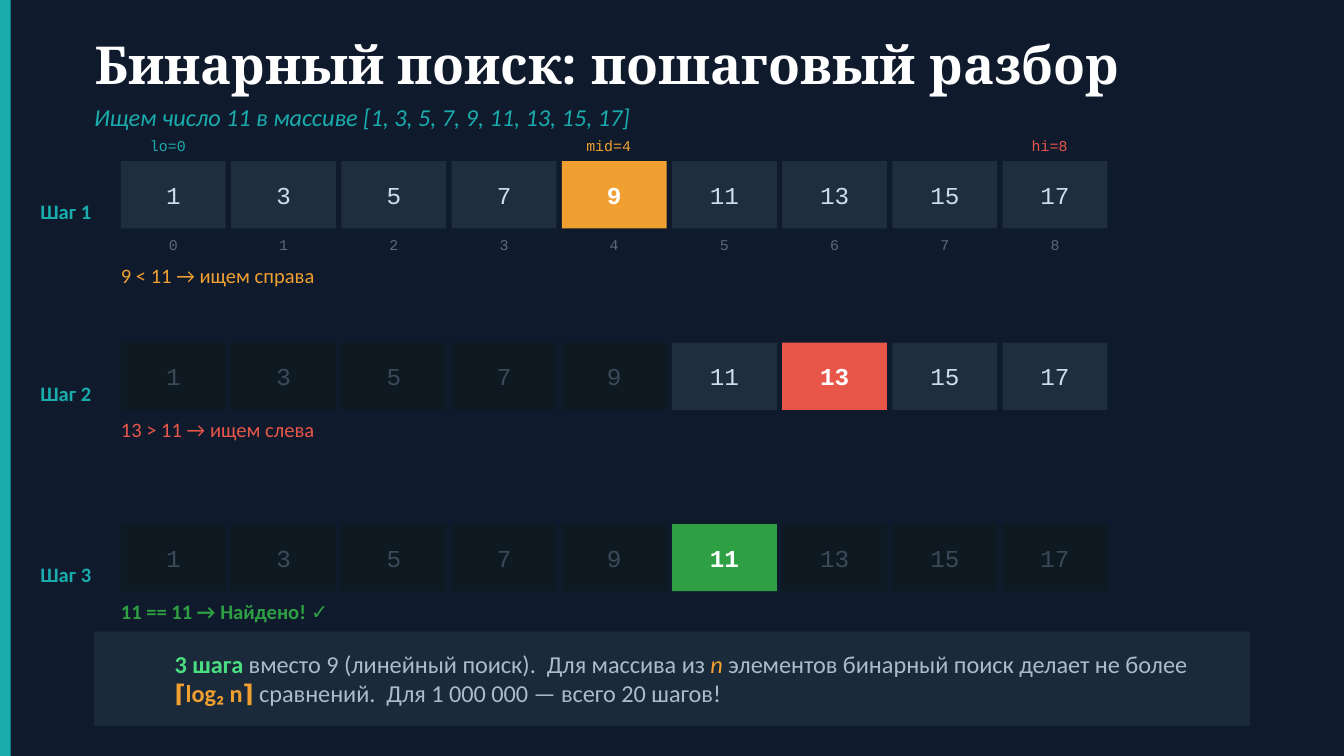
from pptx import Presentation
from pptx.dml.color import RGBColor
from pptx.enum.shapes import MSO_SHAPE
from pptx.enum.text import MSO_ANCHOR, PP_ALIGN
from pptx.util import Inches, Pt

RECT = MSO_SHAPE.RECTANGLE
MIDDLE = MSO_ANCHOR.MIDDLE
LEFT, CENTER = PP_ALIGN.LEFT, PP_ALIGN.CENTER

NAVY = RGBColor(0x0F, 0x1B, 0x2D)
TEAL = RGBColor(0x1A, 0xAC, 0xAC)
WHITE = RGBColor(0xFF, 0xFF, 0xFF)
CELL = RGBColor(0x1E, 0x2E, 0x3E)
CELL_TEXT = RGBColor(0xCC, 0xDD, 0xEE)
DIMMED = RGBColor(0x0F, 0x19, 0x22)
DIMMED_TEXT = RGBColor(0x3A, 0x4A, 0x5A)
INDEX_TEXT = RGBColor(0x5A, 0x6A, 0x7A)
ORANGE = RGBColor(0xF0, 0xA0, 0x30)
RED = RGBColor(0xE8, 0x56, 0x4A)
GREEN = RGBColor(0x2E, 0xA0, 0x43)
MINT = RGBColor(0x4A, 0xDE, 0x80)
PANEL = RGBColor(0x1A, 0x2A, 0x3A)
PANEL_TEXT = RGBColor(0xAA, 0xBB, 0xCC)

SANS, MONO, SERIF = "Calibri", "Courier New", "Noto Serif"

SLIDE_W = 10
SLIDE_H = SLIDE_W * 9 / 16
VALUES = [1, 3, 5, 7, 9, 11, 13, 15, 17]
CELL_W, CELL_H, CELL_STEP = 0.78, 0.5, 0.82


def set_font(font, size, color, name=SANS, bold=False, italic=False):
    font.size = Pt(size)
    font.name = name
    font.color.rgb = color
    font.bold = bold
    font.italic = italic


def prepare_frame(sp):
    tf = sp.text_frame
    tf.word_wrap = True
    tf.vertical_anchor = MIDDLE
    tf.margin_left = tf.margin_top = tf.margin_right = tf.margin_bottom = 0
    return tf.paragraphs[0]


def write(sp, text, size, color, align=LEFT, **style):
    p = prepare_frame(sp)
    p.text = text
    p.alignment = align
    set_font(p.font, size, color, **style)


def add_box(s, x, y, w, h):
    return s.shapes.add_textbox(Inches(x), Inches(y), Inches(w), Inches(h))


def add_rect(s, x, y, w, h, color):
    sp = s.shapes.add_shape(RECT, Inches(x), Inches(y), Inches(w), Inches(h))
    sp.shadow.inherit = False
    sp.fill.solid()
    sp.fill.fore_color.rgb = color
    sp.line.fill.background()
    return sp


def add_header(s, x, y, w):
    write(add_box(s, x, y, w, 0.55), "Бинарный поиск: пошаговый разбор",
          28, WHITE, name=SERIF, bold=True)
    write(add_box(s, x, y + 0.52, w, 0.3), f"Ищем число 11 в массиве {VALUES}",
          13, TEAL, italic=True)


def add_cells(s, x, y, lo, mid, hi, accent):
    for i, value in enumerate(VALUES):
        if i == mid:
            fill, color = accent, WHITE
        elif lo <= i <= hi:
            fill, color = CELL, CELL_TEXT
        else:
            fill, color = DIMMED, DIMMED_TEXT
        cell = add_rect(s, x + i * CELL_STEP, y, CELL_W, CELL_H, fill)
        write(cell, str(value), 13, color, CENTER, name=MONO, bold=i == mid)


def add_step(s, x, y, label, lo, mid, hi, accent, note, indexed=False, found=False):
    write(add_box(s, x, y + 0.2, 0.5, 0.35), label, 11, TEAL, bold=True)
    left = x + 0.6
    add_cells(s, left, y, lo, mid, hi, accent)
    if indexed:
        for i in range(len(VALUES)):
            write(add_box(s, left + i * CELL_STEP, y + 0.52, CELL_W, 0.2),
                  str(i), 8, INDEX_TEXT, CENTER, name=MONO)
        for name, i, color in (("lo", lo, TEAL), ("mid", mid, accent), ("hi", hi, RED)):
            write(add_box(s, left + i * CELL_STEP, y - 0.22, 0.7, 0.2),
                  f"{name}={i}", 8, color, CENTER, name=MONO)
    note_y = y + (0.72 if indexed else 0.52)
    write(add_box(s, left, note_y, 7.2, 0.25), note, 11, accent, bold=found)


def add_summary(s, x, y, w, h):
    add_rect(s, x, y, w, h, PANEL)
    p = prepare_frame(add_box(s, x + 0.6, y + 0.05, w - 0.8, h - 0.1))
    for text, color, bold, italic in (
        ("3 шага ", MINT, True, False),
        ("вместо 9 (линейный поиск).  Для массива из ", PANEL_TEXT, False, False),
        ("n", ORANGE, False, True),
        (" элементов бинарный поиск делает не более ", PANEL_TEXT, False, False),
        ("⌈log₂ n⌉", ORANGE, True, False),
        (" сравнений.  Для 1 000 000 — всего 20 шагов!", PANEL_TEXT, False, False),
    ):
        r = p.add_run()
        r.text = text
        set_font(r.font, 13, color, bold=bold, italic=italic)


def main():
    prs = Presentation()
    prs.slide_width, prs.slide_height = Inches(SLIDE_W), Inches(SLIDE_H)
    s = prs.slides.add_slide(prs.slide_layouts[6])
    s.background.fill.solid()
    s.background.fill.fore_color.rgb = NAVY

    add_rect(s, 0, 0, 0.08, SLIDE_H, TEAL)
    add_header(s, 0.7, 0.2, 8.6)
    steps = [
        dict(lo=0, mid=4, hi=8, accent=ORANGE, note="9 < 11 → ищем справа", indexed=True),
        dict(lo=5, mid=6, hi=8, accent=RED, note="13 > 11 → ищем слева"),
        dict(lo=5, mid=5, hi=5, accent=GREEN, note="11 == 11 → Найдено! ✓", found=True),
    ]
    for i, step in enumerate(steps):
        add_step(s, 0.3, 1.2 + i * 1.35, f"Шаг {i + 1}", **step)
    add_summary(s, 0.7, 4.7, 8.6, 0.7)
    prs.save("out.pptx")


if __name__ == "__main__":
    main()
